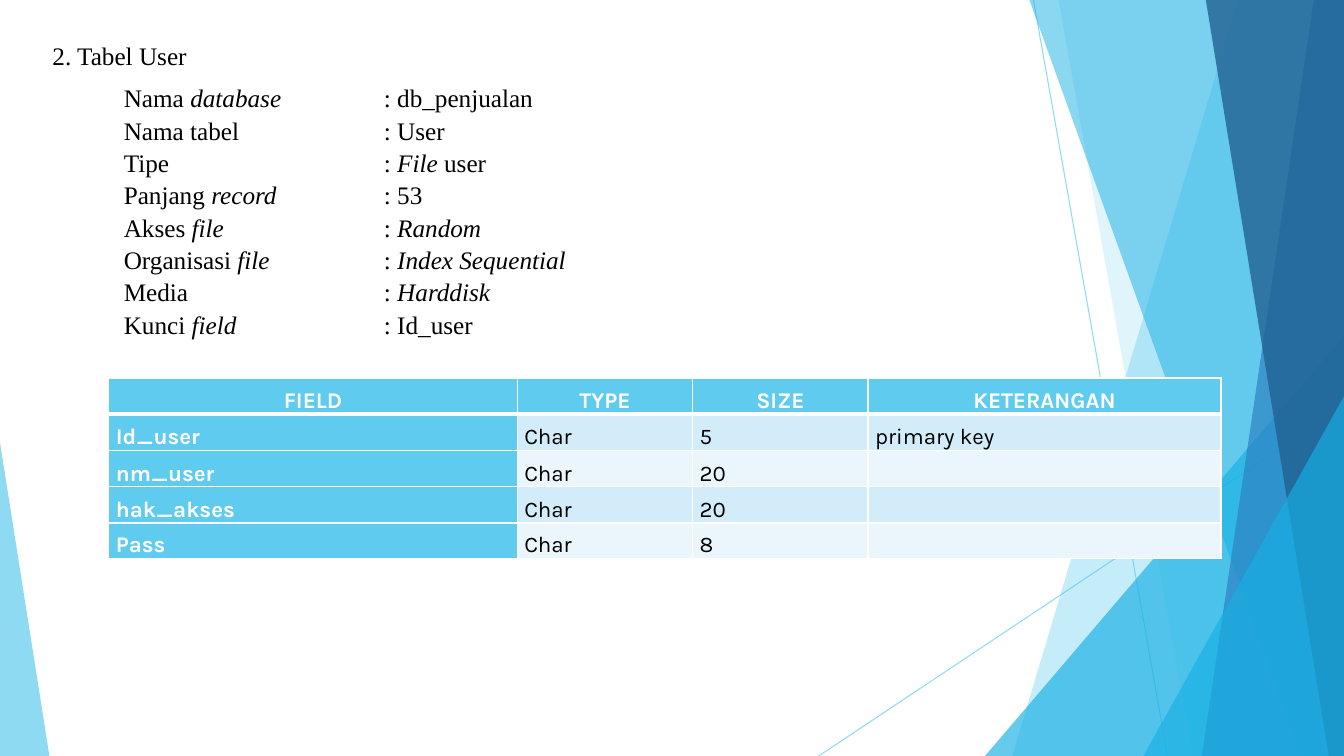
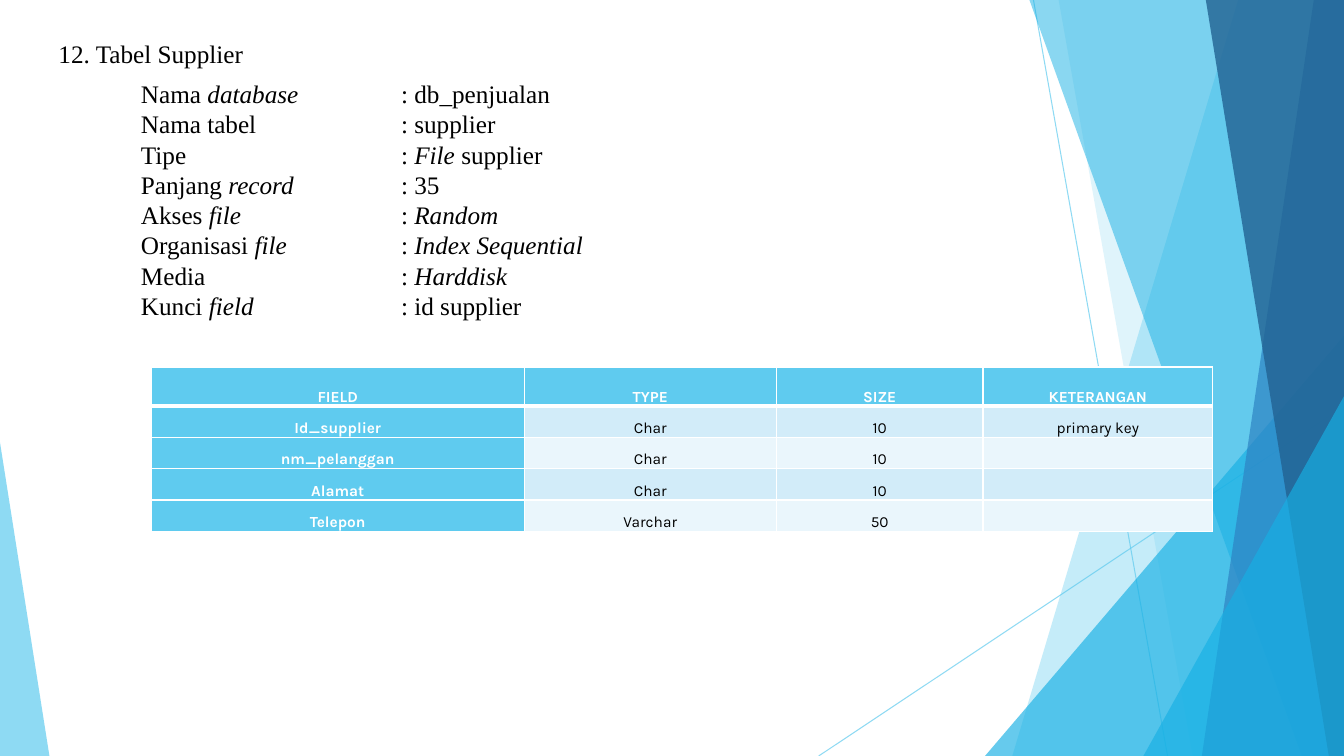
from dataclasses import dataclass

from lxml.etree import SubElement
from pptx import Presentation
from pptx.dml.color import RGBColor
from pptx.enum.shapes import MSO_CONNECTOR, MSO_SHAPE
from pptx.enum.text import MSO_ANCHOR, MSO_AUTO_SIZE, PP_ALIGN
from pptx.oxml.ns import qn
from pptx.util import Inches, Pt

WIDTH, HEIGHT = 13.33, 7.5


@dataclass(frozen=True)
class Theme:
    sky: str = "5FCBEF"
    cyan: str = "17B0E4"
    blue: str = "2E83C3"
    navy: str = "226292"
    band_dark: str = "D2ECF9"
    band_light: str = "EAF6FC"
    ink: str = "000000"
    white: str = "FFFFFF"
    body_font: str = "Times New Roman"
    table_font: str = "Karla"
    body_size: int = 18


THEME = Theme()


def box(*lengths):
    return [Inches(n) for n in lengths]


def rgb(color):
    return RGBColor.from_string(color)


def write(p, text, size=THEME.body_size, font=THEME.body_font,
          color=THEME.ink, bold=False):
    for i, part in enumerate(text.split("*")):
        if part:
            r = p.add_run()
            r.text = part
            r.font.size = Pt(size)
            r.font.name = font
            r.font.color.rgb = rgb(color)
            r.font.bold = bold
            r.font.italic = i % 2 == 1


def set_alpha(sp, percent):
    for clr in sp._element.spPr.iter(qn("a:srgbClr")):
        SubElement(clr, qn("a:alpha"), val=str(percent * 1000))


def set_borders(cell, color, **widths):
    tc_pr = cell._tc.get_or_add_tcPr()
    for i, side in enumerate("LRTB"):
        ln = tc_pr.makeelement(qn(f"a:ln{side}"),
                               {"w": str(Pt(widths.get(side, 1)))})
        fill = SubElement(ln, qn("a:solidFill"))
        SubElement(fill, qn("a:srgbClr"), val=color)
        tc_pr.insert(i, ln)


class Deck:
    def __init__(self, theme):
        self.theme = theme
        self.prs = Presentation()
        self.prs.slide_width, self.prs.slide_height = box(WIDTH, HEIGHT)
        self.layout = self.prs.slide_layouts[5]
        self.decorated = False

    def add_slide(self):
        self.slide = self.prs.slides.add_slide(self.layout)
        if not self.decorated:
            self.decorate_layout()
            self.decorated = True

    def decorate_layout(self):
        t = self.theme
        group = self.slide.shapes.add_group_shape()
        self.ray(group, 10.25, 0, 11.58, HEIGHT)
        self.ray(group, WIDTH, 4.03, 8.12, HEIGHT)
        self.slab(group, 12.28, 10.04, t.sky, 36)
        self.slab(group, 10.5, 11.83, t.sky, 20)
        self.corner(group, 9.77, 3.33, 3.56, 1, t.cyan, 66)
        self.slab(group, 10.21, 12.91, t.cyan, 50)
        self.slab(group, 13.03, 11.92, t.blue, 70)
        self.slab(group, 11.96, 13.18, t.navy, 80)
        self.corner(group, 11.34, 3.93, 1.99, 1, t.cyan, 66)
        self.corner(group, 0, 4.39, 0.49, 0, t.sky, 70)
        tree = self.layout.shapes._spTree
        tree.insert(2, group._element)
        for n, props in enumerate(tree.iter(qn("p:cNvPr")), 1):
            props.set("id", str(n))

    def ray(self, group, x1, y1, x2, y2):
        line = group.shapes.add_connector(MSO_CONNECTOR.STRAIGHT,
                                          *box(x1, y1, x2, y2))
        line.line.color.rgb = rgb(self.theme.sky)
        line.line.width = Pt(0.75)
        set_alpha(line, 70)
        SubElement(line._element.spPr, qn("a:effectLst"))

    def slab(self, group, top_x, bottom_x, color, alpha):
        builder = group.shapes.build_freeform(*box(top_x, 0))
        builder.add_line_segments([box(WIDTH, 0), box(WIDTH, HEIGHT),
                                   box(bottom_x, HEIGHT)])
        self.paint(builder.convert_to_shape(), color, alpha)

    def corner(self, group, left, top, width, apex, color, alpha):
        sp = group.shapes.add_shape(MSO_SHAPE.ISOSCELES_TRIANGLE,
                                    *box(left, top, width, HEIGHT - top))
        sp.adjustments[0] = apex
        self.paint(sp, color, alpha)

    def paint(self, sp, color, alpha):
        sp.fill.solid()
        sp.fill.fore_color.rgb = rgb(color)
        sp.line.fill.background()
        sp.shadow.inherit = False
        set_alpha(sp, alpha)

    def title(self, text, left, top):
        sp = self.slide.shapes.title
        sp.left, sp.top, sp.width, sp.height = box(left, top, 6.67, 0.4)
        tf = sp.text_frame
        tf.vertical_anchor = MSO_ANCHOR.TOP
        tf.auto_size = MSO_AUTO_SIZE.NONE
        p = tf.paragraphs[0]
        p.alignment = PP_ALIGN.LEFT
        write(p, text)

    def details(self, rows, left, top, line_spacing):
        sp = self.slide.shapes.add_textbox(*box(left, top, 6.67, 2.6))
        tf = sp.text_frame
        tf.word_wrap = True
        for i, (label, value) in enumerate(rows):
            p = tf.add_paragraph() if i else tf.paragraphs[0]
            tabs = SubElement(p._p.get_or_add_pPr(), qn("a:tabLst"))
            SubElement(tabs, qn("a:tab"), pos=str(Inches(2.58)), algn="l")
            p.line_spacing = line_spacing
            write(p, f"{label}\t: {value}")

    def table(self, rows, left, top, widths, heights, size, align):
        t = self.theme
        frame = self.slide.shapes.add_table(
            len(rows), len(widths),
            *box(left, top, sum(widths), sum(heights)))
        table = frame.table
        table.horz_banding = False
        for column, width in zip(table.columns, widths):
            column.width = Inches(width)
        for row, height in zip(table.rows, heights):
            row.height = Inches(height)
        for y, row in enumerate(rows):
            for x, text in enumerate(row):
                cell = table.cell(y, x)
                head = y == 0 or x == 0
                band = t.band_dark if y % 2 else t.band_light
                cell.fill.solid()
                cell.fill.fore_color.rgb = rgb(t.sky if head else band)
                set_borders(cell, t.white, T=3 if y == 1 else 1,
                            B=3 if y == 0 else 1)
                cell.margin_left = cell.margin_right = Inches(0.07)
                cell.margin_top = cell.margin_bottom = 0
                cell.vertical_anchor = MSO_ANCHOR.BOTTOM
                p = cell.text_frame.paragraphs[0]
                p.alignment = align if y else PP_ALIGN.CENTER
                p.line_spacing = 1.07
                p._p.get_or_add_endParaRPr().set("sz", str(size * 100))
                write(p, text, size=size, font=t.table_font, bold=head,
                      color=t.white if head else t.ink)


def file_details(name, file_name, record, key):
    return [
        ("Nama *database*", "db_penjualan"),
        ("Nama tabel", name),
        ("Tipe", f"*File* {file_name}"),
        ("Panjang *record*", record),
        ("Akses *file*", "*Random*"),
        ("Organisasi *file*", "*Index Sequential*"),
        ("Media", "*Harddisk*"),
        ("Kunci *field*", key),
    ]


HEADER = ("FIELD", "TYPE", "SIZE", "KETERANGAN")


def user_slide(deck):
    deck.add_slide()
    deck.title("2. Tabel User", 0.42, 0.35)
    deck.details(file_details("User", "user", "53", "Id_user"),
                 1.13, 0.75, Pt(23.1))
    deck.table([
        HEADER,
        ("Id_user", "Char", "5", "primary key"),
        ("nm_user", "Char", "20", ""),
        ("hak_akses", "Char", "20", ""),
        ("Pass", "Char", "8", ""),
    ], 1.08, 3.75, [4.05, 1.74, 1.74, 3.5], [0.36] * 4 + [0.35],
        16, PP_ALIGN.LEFT)


def supplier_slide(deck):
    deck.add_slide()
    deck.title("12. Tabel Supplier", 0.48, 0.33)
    deck.details(file_details("supplier", "supplier", "35", "id supplier"),
                 1.3, 0.73, 1.0)
    deck.table([
        HEADER,
        ("Id_supplier", "Char", "10", "primary key"),
        ("nm_pelanggan", "Char", "10", ""),
        ("Alamat", "Char", "10", ""),
        ("Telepon", "Varchar", "50", ""),
    ], 1.5, 3.64, [3.7, 2.5, 2.05, 2.28], [0.39] + [0.31] * 4,
        11, PP_ALIGN.CENTER)


def main():
    deck = Deck(THEME)
    user_slide(deck)
    supplier_slide(deck)
    deck.prs.save("out.pptx")


if __name__ == "__main__":
    main()
